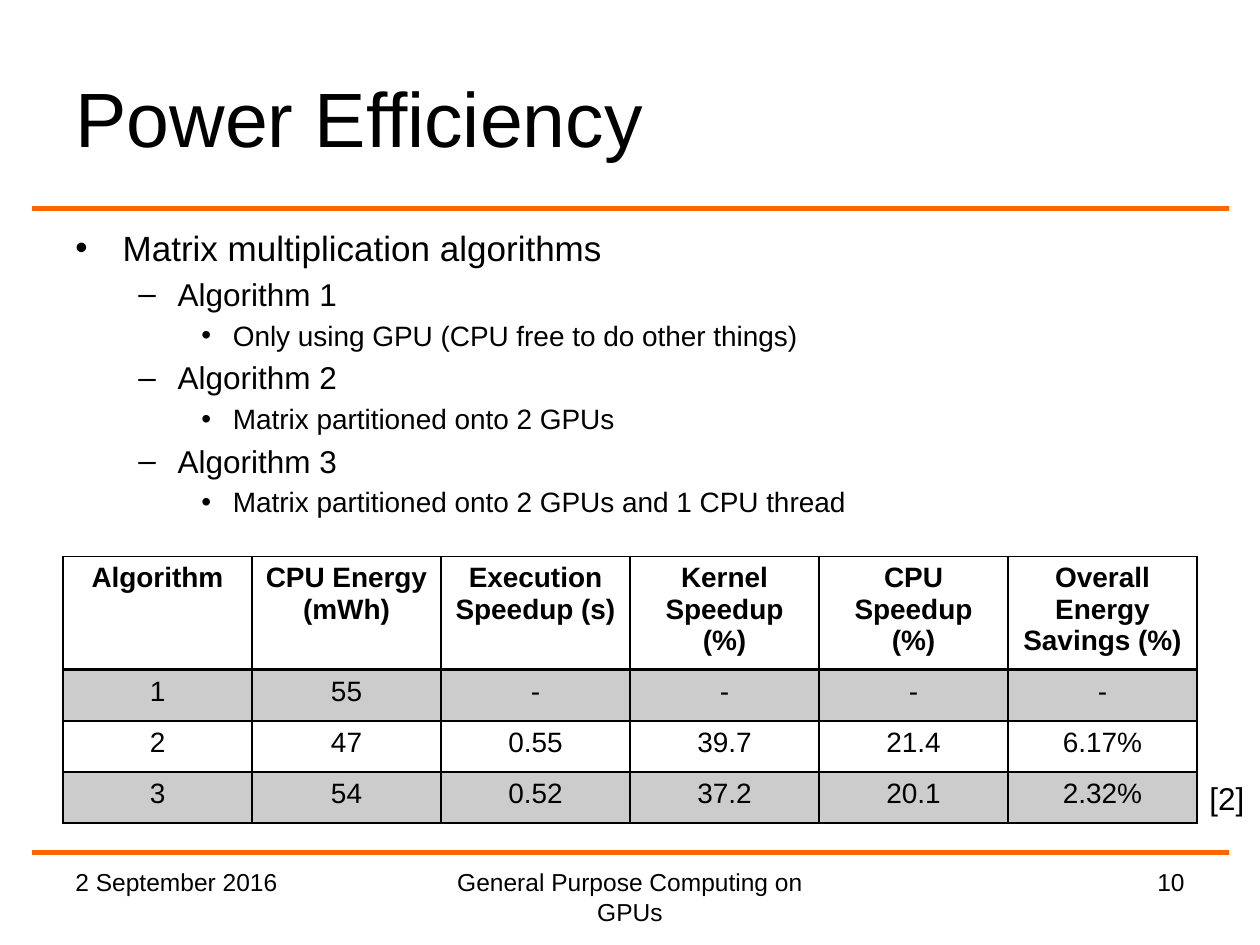
from lxml import etree
from pptx import Presentation
from pptx import util as u
from pptx.dml.color import RGBColor
from pptx.enum import shapes, text
from pptx.oxml import ns

COLORS = {"ink": "000000", "accent": "FF6600"}
ALIGN = {"left": text.PP_ALIGN.LEFT, "center": text.PP_ALIGN.CENTER,
         "right": text.PP_ALIGN.RIGHT}

# Outline levels: bullet, size, text indent, hanging indent
LEVELS = [("•", 20, 27, 27), ("–", 18, 58.5, 22.5), ("•", 16, 90, 18)]

OUTLINE = [
    (0, "Matrix multiplication algorithms"),
    (1, "Algorithm 1"),
    (2, "Only using GPU (CPU free to do other things)"),
    (1, "Algorithm 2"),
    (2, "Matrix partitioned onto 2 GPUs"),
    (1, "Algorithm 3"),
    (2, "Matrix partitioned onto 2 GPUs and 1 CPU thread"),
]

RESULTS = [
    ["Algorithm", "CPU Energy (mWh)", "Execution Speedup (s)",
     "Kernel Speedup (%)", "CPU Speedup (%)", "Overall Energy Savings (%)"],
    ["1", "55", "-", "-", "-", "-"],
    ["2", "47", "0.55", "39.7", "21.4", "6.17%"],
    ["3", "54", "0.52", "37.2", "20.1", "2.32%"],
]


def color(name):
    return RGBColor.from_string(COLORS[name])


def sub(parent, tag, **attributes):
    return etree.SubElement(parent, ns.qn(tag), **attributes)


def write(paragraph, words, size=14, bold=False, align="left", font="Arial"):
    paragraph.alignment = ALIGN[align]
    run = paragraph.add_run()
    run.text = words
    run.font.name, run.font.size, run.font.bold = font, u.Pt(size), bold
    run.font.color.rgb = color("ink")


class SlideBuilder:
    def __init__(self, slide, font="Arial"):
        self.slide = slide
        self.font = font

    def rule(self, y, left=18, right=702):
        line = self.slide.shapes.add_connector(
            shapes.MSO_CONNECTOR.STRAIGHT, u.Pt(left), u.Pt(y), u.Pt(right), u.Pt(y))
        line.line.color.rgb = color("accent")
        line.line.width = u.Pt(3)
        sub(line._element.spPr, "a:effectLst")

    def frame(self, box):
        frame = self.slide.shapes.add_textbox(*map(u.Pt, box)).text_frame
        frame.word_wrap = True
        return frame

    def label(self, box, words, middle=False, **style):
        frame = self.frame(box)
        if middle:
            frame.vertical_anchor = text.MSO_ANCHOR.MIDDLE
        write(frame.paragraphs[0], words, font=self.font, **style)

    def outline(self, box, items):
        frame = self.frame(box)
        for index, (level, words) in enumerate(items):
            paragraph = frame.add_paragraph() if index else frame.paragraphs[0]
            bullet, size, indent, hanging = LEVELS[level]
            paragraph.level = level
            paragraph.space_before = u.Pt(size * 0.2)
            write(paragraph, words, size=size, font=self.font)
            properties = paragraph._p.get_or_add_pPr()
            properties.set("marL", str(u.Pt(indent)))
            properties.set("indent", str(-u.Pt(hanging)))
            sub(properties, "a:buFont", typeface=self.font)
            sub(properties, "a:buChar", char=bullet)

    def table(self, box, rows, heights):
        grid = self.slide.shapes.add_table(
            len(rows), len(rows[0]), *map(u.Pt, box)).table
        for r, (values, height) in enumerate(zip(rows, heights)):
            grid.rows[r].height = u.Pt(height)
            for c, words in enumerate(values):
                cell = grid.cell(r, c)
                write(cell.text_frame.paragraphs[0], words, size=16,
                      bold=r == 0, align="center", font=self.font)
                self.borders(cell, top=2 if r == 1 else 1, bottom=2 if r == 0 else 1)
                self.shade(cell, banded=r % 2 == 1)

    def borders(self, cell, top, bottom):
        properties = cell._tc.get_or_add_tcPr()
        widths = {"a:lnL": 1, "a:lnR": 1, "a:lnT": top, "a:lnB": bottom}
        for tag, width in widths.items():
            edge = sub(properties, tag, w=str(u.Pt(width)))
            sub(sub(edge, "a:solidFill"), "a:srgbClr", val=COLORS["ink"])

    def shade(self, cell, banded):
        if not banded:
            cell.fill.background()
            return
        cell.fill.solid()
        cell.fill.fore_color.rgb = color("ink")
        tint = cell._tc.tcPr.find(ns.qn("a:solidFill")).find(ns.qn("a:srgbClr"))
        sub(tint, "a:alpha", val="20000")


def main():
    deck = Presentation()
    deck.slide_width, deck.slide_height = u.Pt(720), u.Pt(540)
    page = SlideBuilder(deck.slides.add_slide(deck.slide_layouts[6]))

    # Rules around the content
    for y in (119, 487):
        page.rule(y)

    # Title and outline
    page.label((36, 21.6, 648, 90), "Power Efficiency", size=44, middle=True)
    page.outline((36, 126, 648, 356), OUTLINE)

    # Footer
    page.label((36, 492, 168, 37.5), "2 September 2016")
    page.label((234, 492, 252, 37.5), "General Purpose Computing on GPUs",
               align="center")
    page.label((516, 492, 168, 37.5), "10", align="right")

    # Results and their citation
    page.table((36, 318, 648, 148.3), RESULTS, [60.7, 29.2, 29.2, 29.2])
    page.label((684, 441.5, 36, 29), "[2]", size=18)

    deck.save("out.pptx")


if __name__ == "__main__":
    main()
